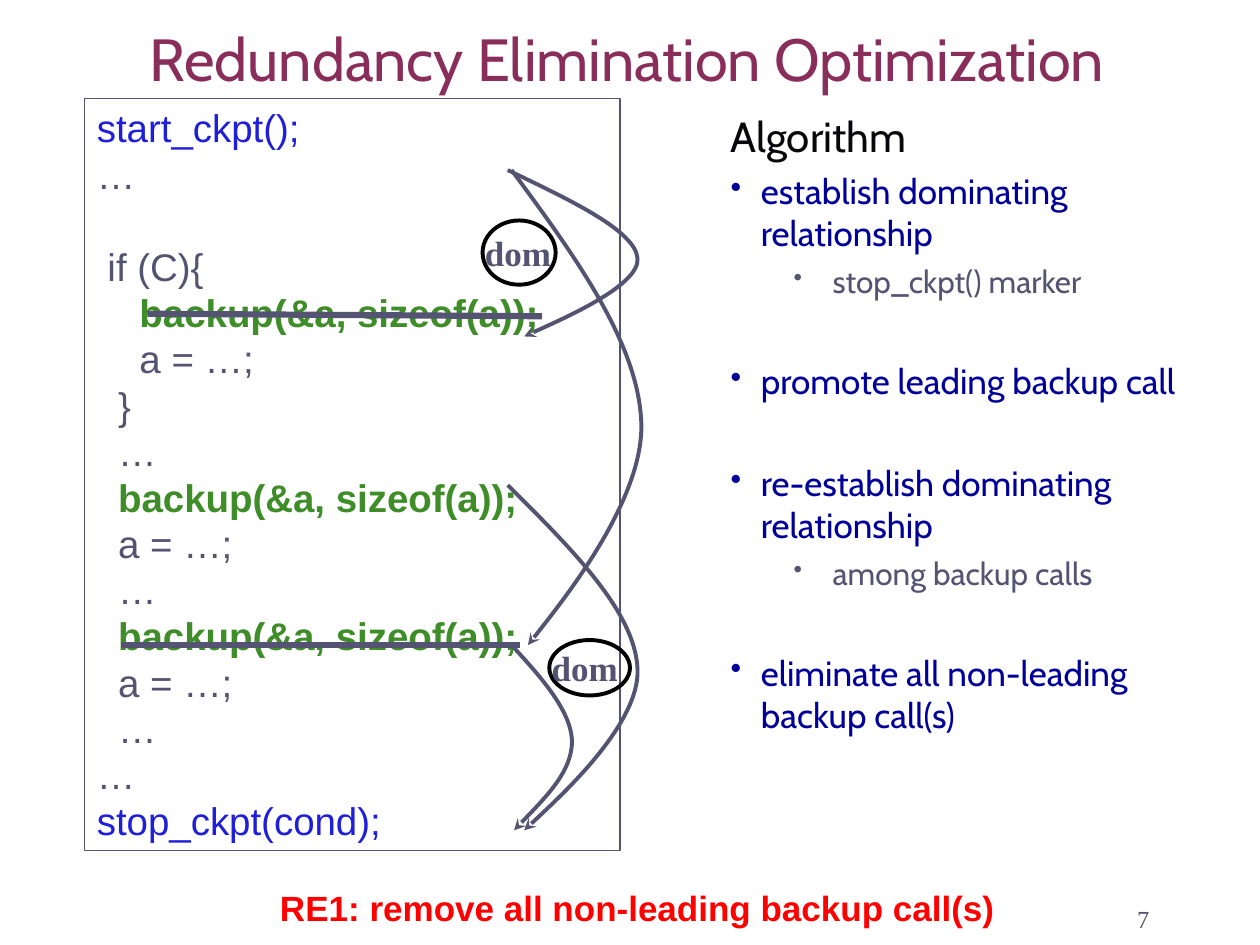
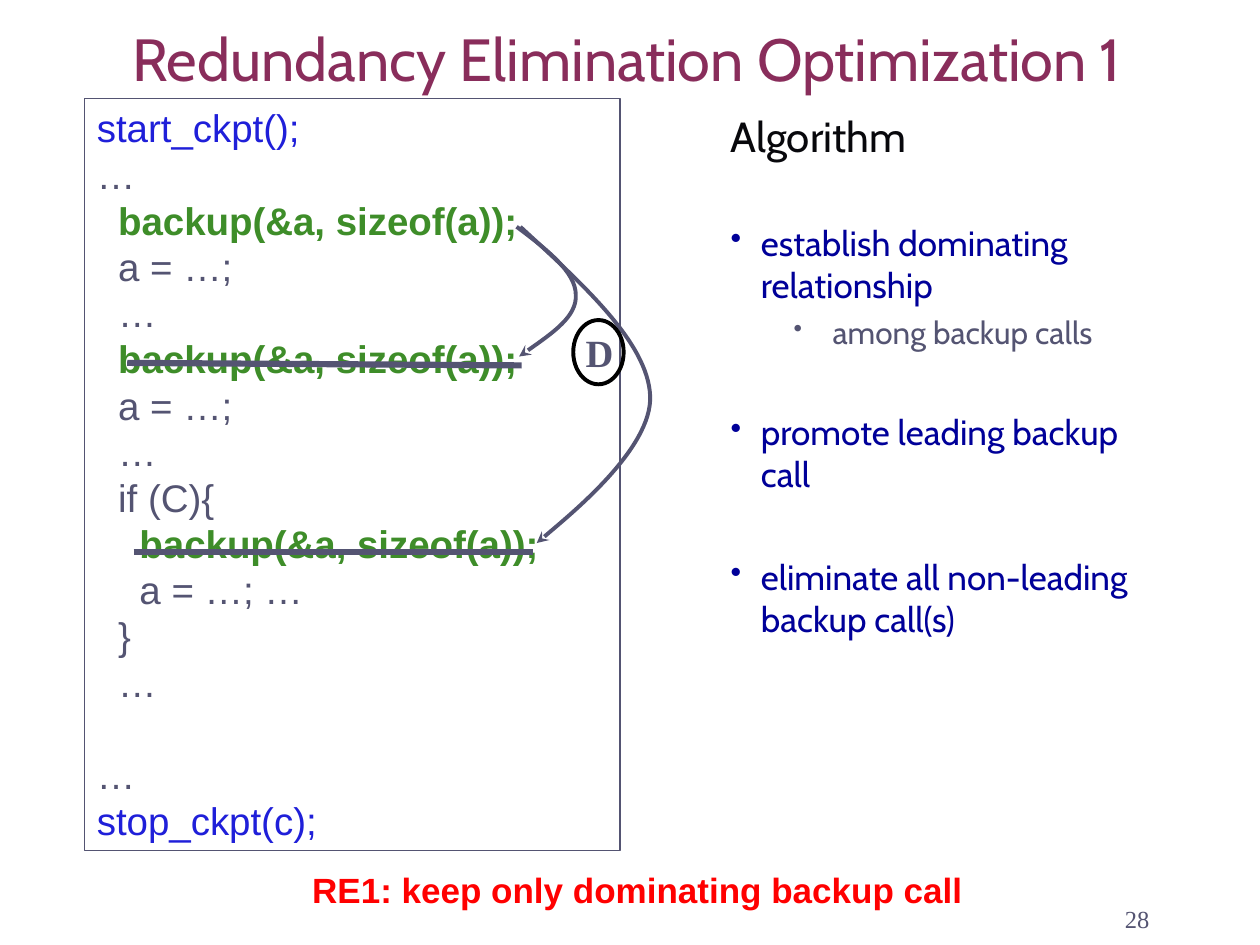
from lxml import etree
from pptx import Presentation
from pptx.dml.color import RGBColor
from pptx.enum.shapes import MSO_CONNECTOR, MSO_SHAPE
from pptx.enum.text import MSO_ANCHOR as ANCHOR, PP_ALIGN as ALIGN
from pptx.oxml.ns import qn
from pptx.util import Inches, Pt

SLATE, PLUM, NAVY, RED = "545472", "892D5B", "000099", "FF0000"
CALL_GREEN, MARKER_BLUE, INK, BLACK = "3E8D29", "1F1FD9", "08080C", "000000"
SANS, SERIF, HEADING = "Arial", "Times New Roman", "Cabin"
CODE_PITCH = 26.4
TOPIC_SPACE, TOPIC_GAP = 5, 29.3

BRANCH_FIRST = """\
start_ckpt();
…

 if (C){
    backup(&a, sizeof(a));
    a = …;
  }
  …
  backup(&a, sizeof(a));
  a = …;
  …
  backup(&a, sizeof(a));
  a = …;
  …
…
stop_ckpt(cond);"""

BRANCH_LAST = """\
start_ckpt();
…
  backup(&a, sizeof(a));
  a = …;
  …
  backup(&a, sizeof(a));
  a = …;
  …
  if (C){
    backup(&a, sizeof(a));
    a = …; …
  }
  …

…
stop_ckpt(c);"""


def rgb(hex_color):
    return RGBColor.from_string(hex_color)


def style(paragraph, size, color, font, bold=False):
    for run in paragraph.runs:
        run.font.size = Pt(size)
        run.font.name = font
        run.font.bold = bold
        run.font.color.rgb = rgb(color)


def set_line(shape, color, width):
    shape.line.color.rgb = rgb(color)
    shape.line.width = Pt(width)


def outline(slide, kind, box, color, width):
    """Add an unfilled preset shape."""
    shape = slide.shapes.add_shape(kind, *map(Inches, box))
    shape.shadow.inherit = False
    shape.fill.background()
    set_line(shape, color, width)
    return shape


def add_text(slide, box, text, size, color, font, bold=False,
             align=ALIGN.LEFT, anchor=ANCHOR.TOP):
    frame = slide.shapes.add_textbox(*map(Inches, box)).text_frame
    frame.word_wrap = True
    frame.vertical_anchor = anchor
    frame.text = text
    frame.paragraphs[0].alignment = align
    style(frame.paragraphs[0], size, color, font, bold)
    return frame


def add_title(slide, text):
    frame = add_text(slide, (0.13, 0.13, 9.69, 0.63), text, 34, PLUM, HEADING,
                     align=ALIGN.CENTER, anchor=ANCHOR.BOTTOM)
    frame.margin_top = frame.margin_bottom = Inches(0.02)


def add_page_number(slide, number):
    add_text(slide, (7.14, 6.96, 2.08, 0.5), number, 14, SLATE, SERIF,
             align=ALIGN.RIGHT, anchor=ANCHOR.BOTTOM)


def add_conclusion(slide, text, top):
    add_text(slide, (0.12, top, 9.88, 0.44), text, 20, RED, SANS, True,
             ALIGN.CENTER, ANCHOR.MIDDLE)


def add_code(slide, code):
    """Frame the listing; an empty line becomes space before the next one."""
    panel = outline(slide, MSO_SHAPE.RECTANGLE, (0.67, 0.78, 4.25, 5.97), SLATE, 0.75)
    frame = panel.text_frame
    frame.word_wrap = True
    frame.vertical_anchor = ANCHOR.TOP
    paragraph, gap = frame.paragraphs[0], 0
    for number, line in enumerate(code.splitlines()):
        if not line:
            gap += CODE_PITCH
            continue
        if number:
            paragraph = frame.add_paragraph()
        paragraph.text = line
        paragraph.alignment = ALIGN.LEFT
        paragraph.line_spacing = Pt(CODE_PITCH)
        if gap:
            paragraph.space_before = Pt(gap)
            gap = 0
        is_call = "backup" in line
        color = CALL_GREEN if is_call else MARKER_BLUE if "_ckpt" in line else SLATE
        style(paragraph, 22, color, SANS, is_call)


def add_bullet(frame, text, size, color, margin, hanging, percent, space):
    paragraph = frame.add_paragraph()
    paragraph.text = text
    props = paragraph._p.get_or_add_pPr()
    props.set("marL", str(Inches(margin)))
    props.set("indent", str(-Inches(hanging)))
    bullet_color = etree.SubElement(props, qn("a:buClr"))
    etree.SubElement(bullet_color, qn("a:srgbClr"), val=color)
    etree.SubElement(props, qn("a:buSzPct"), val=str(percent * 1000))
    etree.SubElement(props, qn("a:buChar"), char="•")
    paragraph.space_before = Pt(space)
    style(paragraph, size, color, HEADING)
    return paragraph


def add_algorithm(slide, width, steps, gap_after_heading):
    frame = add_text(slide, (5.7, 0.83, width, 5.91), "Algorithm", 24, INK, HEADING)
    for number, (step, detail) in enumerate(steps):
        gap = TOPIC_GAP if number or gap_after_heading else 0
        add_bullet(frame, step, 20, NAVY, 0.24, 0.24, 90, TOPIC_SPACE + gap)
        if detail:
            add_bullet(frame, detail, 18, SLATE, 0.81, 0.31, 80, 4.5).level = 1


def strike_out(slide, start, end):
    strike = slide.shapes.add_connector(MSO_CONNECTOR.STRAIGHT,
                                        *map(Inches, (*start, *end)))
    set_line(strike, SLATE, 3.54)
    etree.SubElement(strike.element.spPr, qn("a:effectLst"))


def add_dominance_arrow(slide, *points):
    """Draw a start point and then triples of cubic Bézier points."""
    start, *rest = [(Inches(x), Inches(y)) for x, y in points]
    builder = slide.shapes.build_freeform(*start)
    builder.add_line_segments(rest, close=False)
    arrow = builder.convert_to_shape()
    segments = list(arrow.element.iter(qn("a:lnTo")))
    for first in range(0, len(segments), 3):
        curve = etree.Element(qn("a:cubicBezTo"))
        segments[first].addprevious(curve)
        for segment in segments[first:first + 3]:
            curve.append(segment[0])
            segment.getparent().remove(segment)
    arrow.shadow.inherit = False
    arrow.fill.background()
    set_line(arrow, SLATE, 2.25)
    etree.SubElement(arrow.line._get_or_add_ln(), qn("a:tailEnd"), type="stealth")


def add_badge(slide, label, oval, label_box, size):
    outline(slide, MSO_SHAPE.OVAL, oval, BLACK, 2.25)
    add_text(slide, label_box, label, size, SLATE, SERIF, True)


def build_relationship_slide(slide):
    add_code(slide, BRANCH_FIRST)
    strike_out(slide, (1.17, 2.49), (4.3, 2.51))
    strike_out(slide, (0.96, 5.12), (4.13, 5.12))
    add_title(slide, "Redundancy Elimination Optimization")
    add_algorithm(slide, 3.78, [
        ("establish dominating relationship", "stop_ckpt() marker"),
        ("promote leading backup call", None),
        ("re-establish dominating relationship", "among backup calls"),
        ("eliminate all non-leading backup call(s)", None),
    ], gap_after_heading=False)
    add_page_number(slide, "7")
    add_conclusion(slide, "RE1: remove all non-leading backup call(s)", 6.98)
    add_dominance_arrow(slide, (4.03, 3.85), (4.53, 4.35), (5.04, 4.85), (5.06, 5.31),
                        (5.08, 5.76), (4.16, 6.59), (4.16, 6.59))
    add_dominance_arrow(slide, (4.06, 5.12), (4.3, 5.38), (4.53, 5.64), (4.54, 5.88),
                        (4.54, 6.12), (4.31, 6.35), (4.08, 6.59))
    add_badge(slide, "dom", (4.36, 5.08, 0.64, 0.44), (4.28, 5.08, 0.8, 0.44), 20)
    add_dominance_arrow(slide, (4.03, 1.35), (4.53, 1.59), (5.04, 1.83), (5.06, 2.05),
                        (5.08, 2.27), (4.16, 2.67), (4.16, 2.67))
    add_dominance_arrow(slide, (4.06, 1.35), (4.57, 2.04), (5.07, 2.73), (5.09, 3.36),
                        (5.11, 3.99), (4.19, 5.12), (4.19, 5.12))
    add_badge(slide, "dom", (3.83, 1.75, 0.58, 0.51), (3.75, 1.79, 0.74, 0.44), 20)


def build_dominating_call_slide(slide):
    add_code(slide, BRANCH_LAST)
    strike_out(slide, (1.01, 2.88), (4.14, 2.9))
    strike_out(slide, (1.06, 4.38), (4.23, 4.38))
    add_title(slide, "Redundancy Elimination Optimization 1")
    add_algorithm(slide, 3.39, [
        ("establish dominating relationship", "among backup calls"),
        ("promote leading backup call", None),
        ("eliminate all non-leading backup call(s)", None),
    ], gap_after_heading=True)
    add_page_number(slide, "28")
    add_dominance_arrow(slide, (4.1, 1.8), (4.34, 1.98), (4.57, 2.16), (4.57, 2.34),
                        (4.58, 2.51), (4.35, 2.67), (4.12, 2.83))
    add_dominance_arrow(slide, (4.13, 1.8), (4.63, 2.26), (5.14, 2.72), (5.16, 3.14),
                        (5.18, 3.56), (4.26, 4.31), (4.26, 4.31))
    add_badge(slide, "D", (4.55, 2.54, 0.4, 0.51), (4.55, 2.56, 0.34, 0.47), 22)
    add_conclusion(slide, "RE1: keep only dominating backup call", 6.84)


def main():
    deck = Presentation()
    deck.slide_width, deck.slide_height = Inches(10), Inches(7.5)
    blank = deck.slide_layouts[6]
    for build in (build_relationship_slide, build_dominating_call_slide):
        build(deck.slides.add_slide(blank))
    deck.save("out.pptx")


if __name__ == "__main__":
    main()
